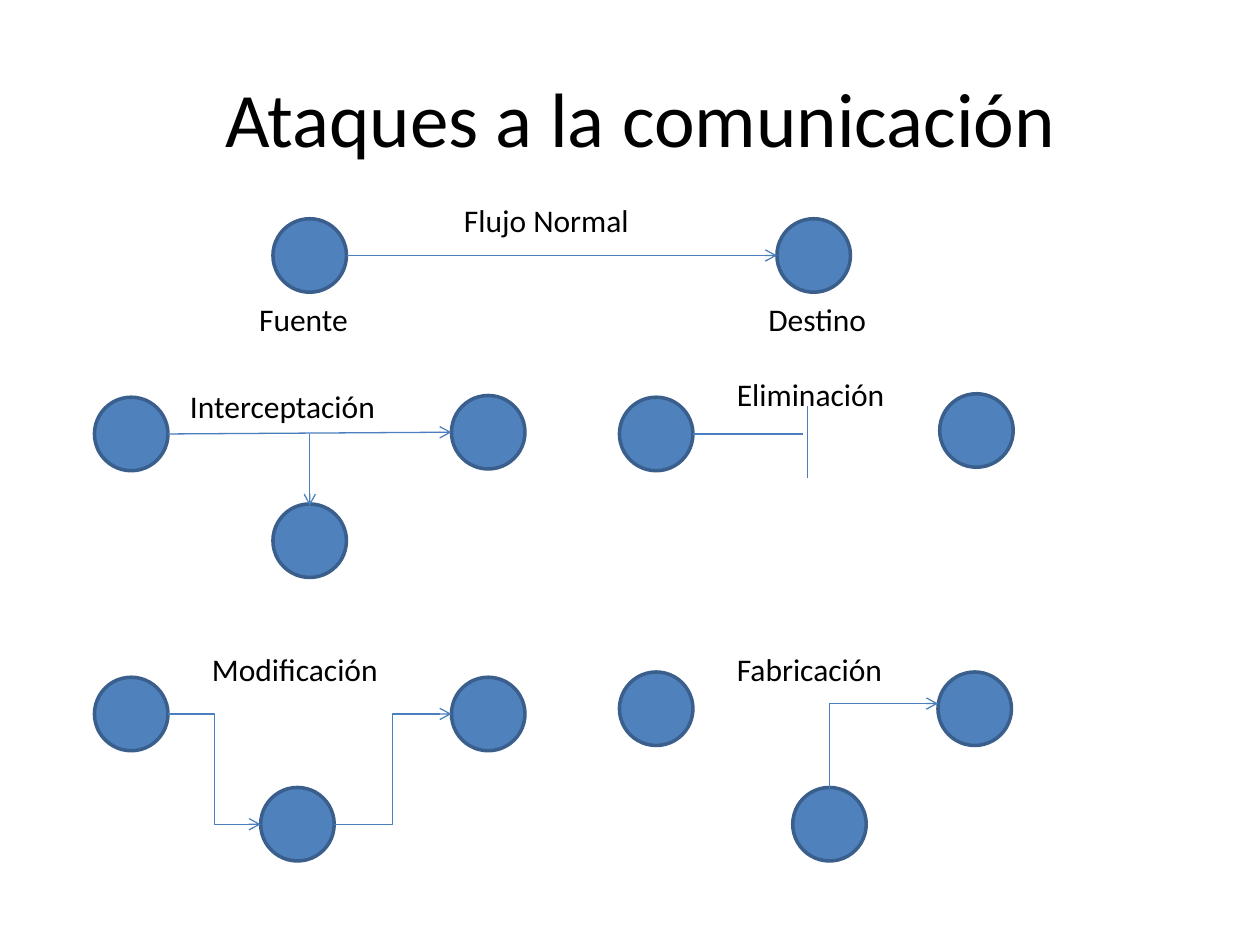
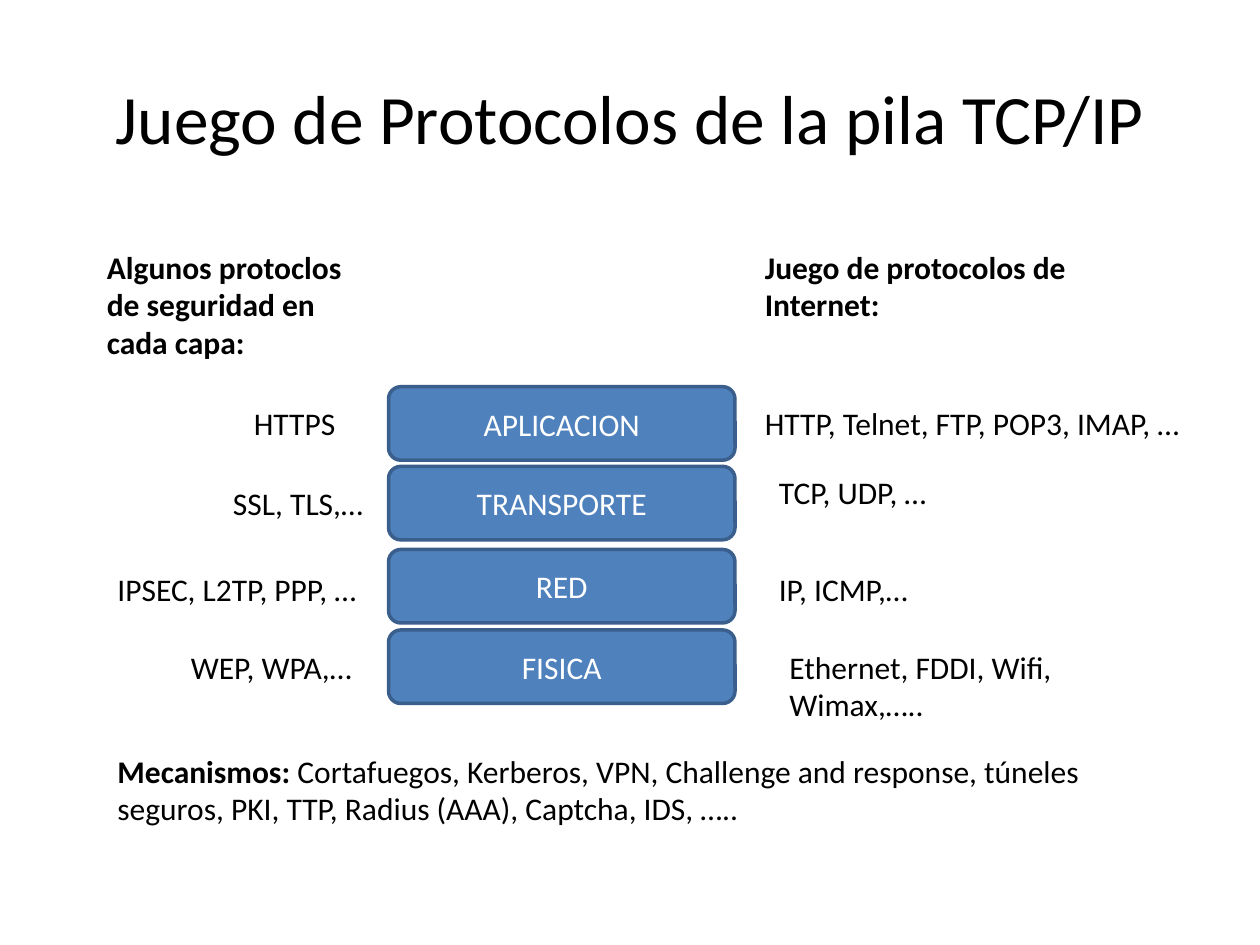
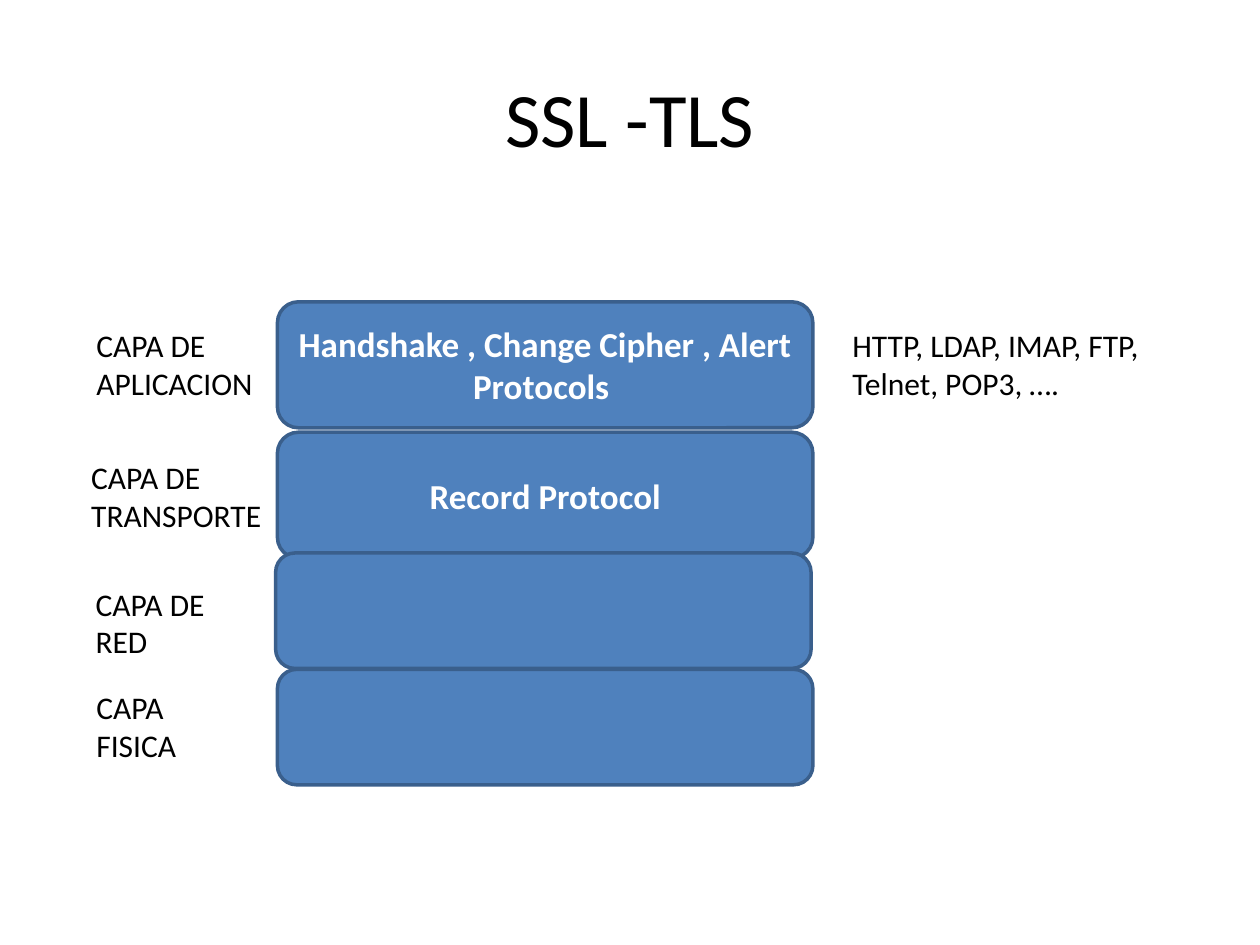
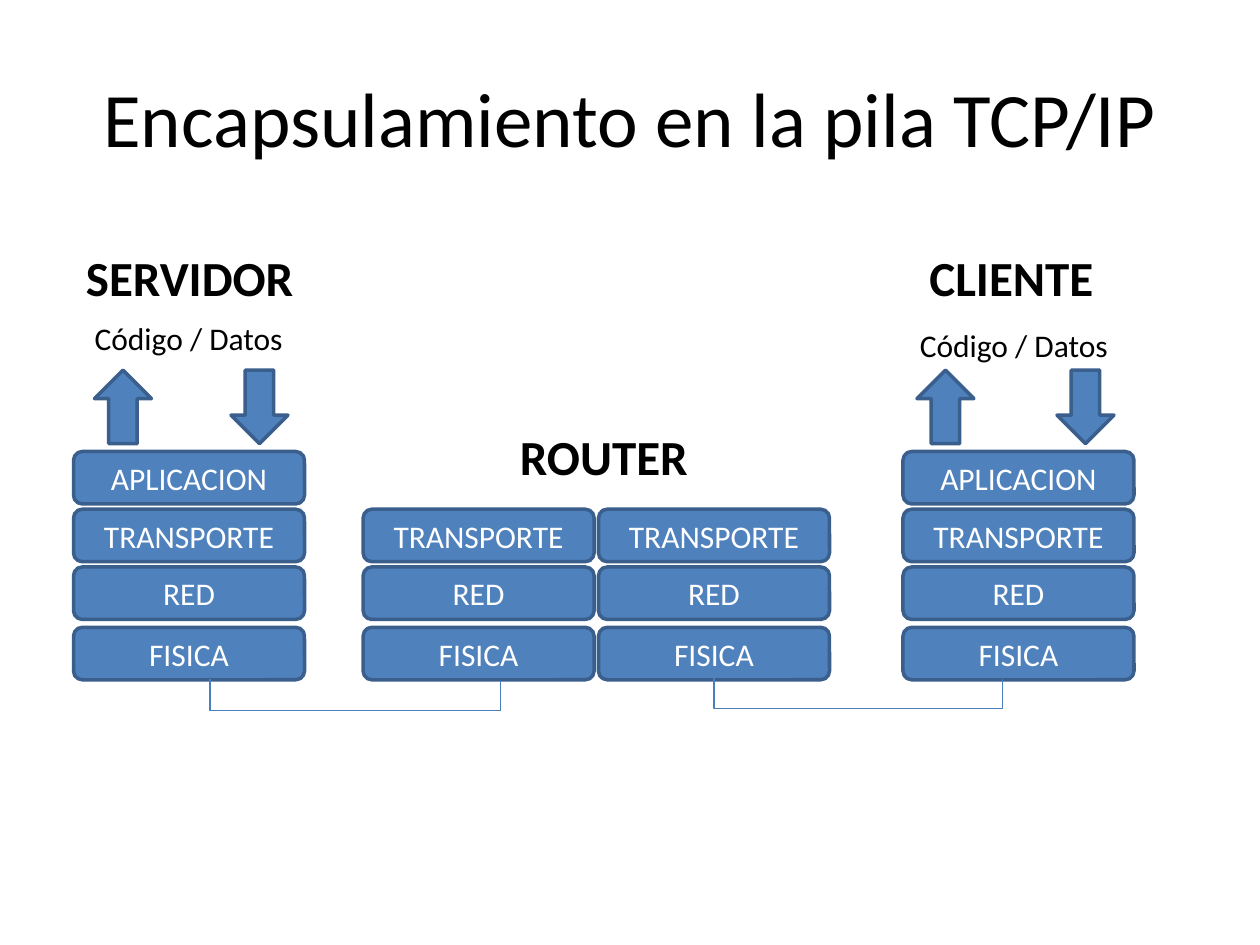
from dataclasses import dataclass

import pptx
import pptx.dml.color
import pptx.enum.shapes
import pptx.enum.text
import pptx.oxml.ns
import pptx.util

Pt = pptx.util.Pt
RGB = pptx.dml.color.RGBColor
SHAPE = pptx.enum.shapes.MSO_SHAPE
ALIGN = pptx.enum.text.PP_ALIGN
ANCHOR = pptx.enum.text.MSO_ANCHOR
AUTO = pptx.enum.text.MSO_AUTO_SIZE


@dataclass(frozen=True)
class Theme:
    font: str = "Calibri"
    ink: RGB = RGB.from_string("000000")
    paper: RGB = RGB.from_string("FFFFFF")
    fill: RGB = RGB.from_string("4F81BD")
    edge: RGB = RGB.from_string("3A5F8C")
    link: RGB = RGB.from_string("4B7EBC")
    edge_width: float = 2
    link_width: float = 0.75
    title: float = 44
    long_title: float = 39.6
    heading: float = 28
    strong: float = 20
    body: float = 18


theme = Theme()


def write(slide, text, left, top, width, height=29, *, shape=None, size=theme.body,
          bold=False, lead="", centred=False, wrap=True, grow=True, turn=0):
    """Put text in a plain box, or in a filled preset shape; lead is a bold opening."""
    frame = [Pt(length) for length in (left, top, width, height)]
    if shape is None:
        holder = slide.shapes.add_textbox(*frame)
        colour = theme.ink
    else:
        holder = slide.shapes.add_shape(shape, *frame)
        holder.shadow.inherit = False
        holder.fill.solid()
        holder.fill.fore_color.rgb = theme.fill
        holder.line.color.rgb = theme.edge
        holder.line.width = Pt(theme.edge_width)
        holder.rotation = turn
        colour, centred, grow = theme.paper, True, False
    body = holder.text_frame
    body.word_wrap = wrap
    body.auto_size = AUTO.SHAPE_TO_FIT_TEXT if grow else AUTO.NONE
    body.vertical_anchor = ANCHOR.MIDDLE if centred else ANCHOR.TOP
    for number, line in enumerate(text.split("\n")):
        paragraph = body.add_paragraph() if number else body.paragraphs[0]
        paragraph.alignment = ALIGN.CENTER if centred else ALIGN.LEFT
        for part, heavy in ((lead, True), (line, bold)):
            if part:
                run = paragraph.add_run()
                run.text = part
                run.font.name, run.font.size = theme.font, Pt(size)
                run.font.bold, run.font.color.rgb = heavy, colour


def connect(slide, start, end, *, preset="line", arrow=False, upright=False, drop=None):
    """Join two points; an upright link leaves its start vertically, dropping by drop."""
    (x1, y1), (x2, y2) = start, end
    link = slide.shapes.add_connector(pptx.enum.shapes.MSO_CONNECTOR.STRAIGHT,
                                      Pt(x1), Pt(y1), Pt(x2), Pt(y2))
    link.line.color.rgb = theme.link
    link.line.width = Pt(theme.link_width)
    properties = link._element.spPr
    geometry = properties.find(pptx.oxml.ns.qn("a:prstGeom"))
    geometry.set("prst", preset)
    if upright:
        across, along = abs(x2 - x1), abs(y2 - y1)
        link.left, link.top = Pt((x1 + x2 - along) / 2), Pt((y1 + y2 - across) / 2)
        link.width, link.height = Pt(along), Pt(across)
        properties.xfrm.set("rot", str(270 * 60000))
        properties.xfrm.set("flipH", str(int(y2 > y1)))
        properties.xfrm.set("flipV", "0")
    if drop:
        guide = pptx.oxml.ns.qn("a:avLst")
        adjust = geometry.find(guide)
        if adjust is None:
            adjust = geometry.makeelement(guide)
            geometry.append(adjust)
        bend = adjust.makeelement(pptx.oxml.ns.qn("a:gd"))
        bend.set("name", "adj1")
        bend.set("fmla", f"val {round(drop / along * 100000)}")
        adjust.append(bend)
    if arrow:
        outline = link.line._get_or_add_ln()
        tip = outline.makeelement(pptx.oxml.ns.qn("a:tailEnd"))
        tip.set("type", "arrow")
        outline.append(tip)
    properties.append(properties.makeelement(pptx.oxml.ns.qn("a:effectLst")))


deck = pptx.Presentation()
deck.slide_width, deck.slide_height = Pt(720), Pt(540)

# Slides and their titles
slides = []
for title, left, size in (
    ("Ataques a la comunicación", 42, theme.title),
    ("Juego de Protocolos de la pila TCP/IP", 36, theme.long_title),
    ("SSL -TLS", 36, theme.title),
    ("Encapsulamiento en la pila TCP/IP", 36, theme.title),
):
    slide = deck.slides.add_slide(deck.slide_layouts[6])
    write(slide, title, left, 21.5, 648, 90, size=size, centred=True, grow=False)
    slides.append(slide)
attacks, protocols, ssl, encapsulation = slides

# Attacks: nodes, by scheme
node = 42
schemes = {
    "normal": ((156, 125), (444, 125)),
    "interception": ((54, 227), (258, 226), (156, 288)),
    "elimination": ((354, 227), (537, 225)),
    "modification": ((54, 387), (258, 387), (149, 450)),
    "fabrication": ((354, 384), (536, 384), (453, 450)),
}
for nodes in schemes.values():
    for left, top in nodes:
        write(attacks, "", left, top, node, node, shape=SHAPE.OVAL)

# Attacks: flows
connect(attacks, (198, 146), (444, 146), arrow=True)
connect(attacks, (96, 248), (258, 247), arrow=True)
connect(attacks, (177, 248), (177, 289), arrow=True)
connect(attacks, (396, 248), (459, 248))
connect(attacks, (461.5, 232), (461.5, 273))
connect(attacks, (96, 408), (149, 471), preset="bentConnector3", arrow=True)
connect(attacks, (191, 471), (258, 408), preset="bentConnector3", arrow=True)
connect(attacks, (474, 456), (536, 402), preset="bentConnector2", arrow=True, upright=True)

# Attacks: labels
for label, left, top, width in (
    ("Fuente", 141, 168, 75),
    ("Destino", 432, 168, 84),
    ("Flujo Normal", 258, 111.5, 204),
    ("Interceptación", 101.5, 217.5, 124),
    ("Eliminación", 414, 210.5, 102),
    ("Modificación", 114, 368, 132),
    ("Fabricación", 414, 368, 102),
):
    write(attacks, label, left, top, width)

# Protocols: layers with security protocols to the left and Internet ones to the right
layers = ("APLICACION", "TRANSPORTE", "RED", "FISICA")
for layer, top in zip(layers, (221, 266.5, 314, 360)):
    write(protocols, layer, 222, top, 198, 42, shape=SHAPE.ROUNDED_RECTANGLE)
for names, left, top, width, height in (
    ("HTTPS", 138, 227.5, 108, 29),
    ("SSL, TLS,…", 126, 273, 156, 29),
    ("IPSEC, L2TP, PPP, …", 60, 322, 162, 29),
    ("WEP, WPA,…", 102, 366.5, 132, 29),
    ("HTTP, Telnet, FTP, POP3, IMAP, …", 430, 227.5, 258, 29),
    ("TCP, UDP, …", 438, 266.5, 186, 29),
    ("IP, ICMP,…", 438, 322, 186, 29),
    ("Ethernet, FDDI, Wifi, Wimax,…..", 444, 366.5, 210, 51),
):
    write(protocols, names, left, top, width, height)

# Protocols: headings and mechanisms
write(protocols, "Algunos protoclos de seguridad en cada capa:", 54, 138, 150, 73, bold=True)
write(protocols, "Juego de protocolos de Internet:", 430, 138, 224, 51, bold=True)
write(protocols, "Cortafuegos, Kerberos, VPN, Challenge and response, túneles seguros, "
      "PKI, TTP, Radius (AAA), Captcha, IDS, …..", 60, 426, 594, 51, lead="Mecanismos: ")

# SSL: stack, with the network layer on top of its neighbours
for content, left, top, height in (
    ("Handshake , Change Cipher , Alert \nProtocols ", 158.5, 172.5, 72),
    ("Record Protocol", 158.5, 247, 72),
    ("", 158.5, 382.5, 66),
    ("", 157.5, 316, 66),
):
    write(ssl, content, left, top, 306, height, shape=SHAPE.ROUNDED_RECTANGLE,
          size=theme.strong, bold=True)
for label, left, top, width in (
    ("CAPA DE APLICACION", 48, 183, 108),
    ("CAPA DE TRANSPORTE", 45, 258, 120),
    ("CAPA DE RED", 47.5, 330.5, 96),
    ("CAPA FISICA", 48, 389.5, 84),
    ("HTTP, LDAP, IMAP, FTP, Telnet, POP3, ….", 480, 183, 204),
):
    write(ssl, label, left, top, width, 51)

# Encapsulation: hosts have every layer, the router lacks the application layer
tops = (258, 291, 324, 358.5)
for left, first in ((42, 0), (207.5, 1), (342, 1), (516, 0)):
    for layer, top in list(zip(layers, tops))[first:]:
        write(encapsulation, layer, left, top, 132, 30, shape=SHAPE.ROUNDED_RECTANGLE)

# Encapsulation: cables between the physical layers
for start, end in (((120, 388), (286, 389)), ((408, 387), (573, 388))):
    connect(encapsulation, start, end, preset="bentConnector3", upright=True, drop=18)

# Encapsulation: data going up and down in each host
for left, turn in ((54, 180), (132, 0), (524, 180), (604, 0)):
    write(encapsulation, "", left, 211.5, 32.5, 42, shape=SHAPE.DOWN_ARROW, turn=turn)
for left, top, width in ((47, 179, 122), (518.5, 183, 124)):
    write(encapsulation, "Código / Datos", left, top, width)

# Encapsulation: device names
for device, left, top, width, wrap in (
    ("SERVIDOR", 42, 138, 161, True),
    ("ROUTER", 290, 240, 112, False),
    ("CLIENTE", 524, 138, 118, True),
):
    write(encapsulation, device, left, top, width, 41, size=theme.heading, bold=True, wrap=wrap)

deck.save("out.pptx")
